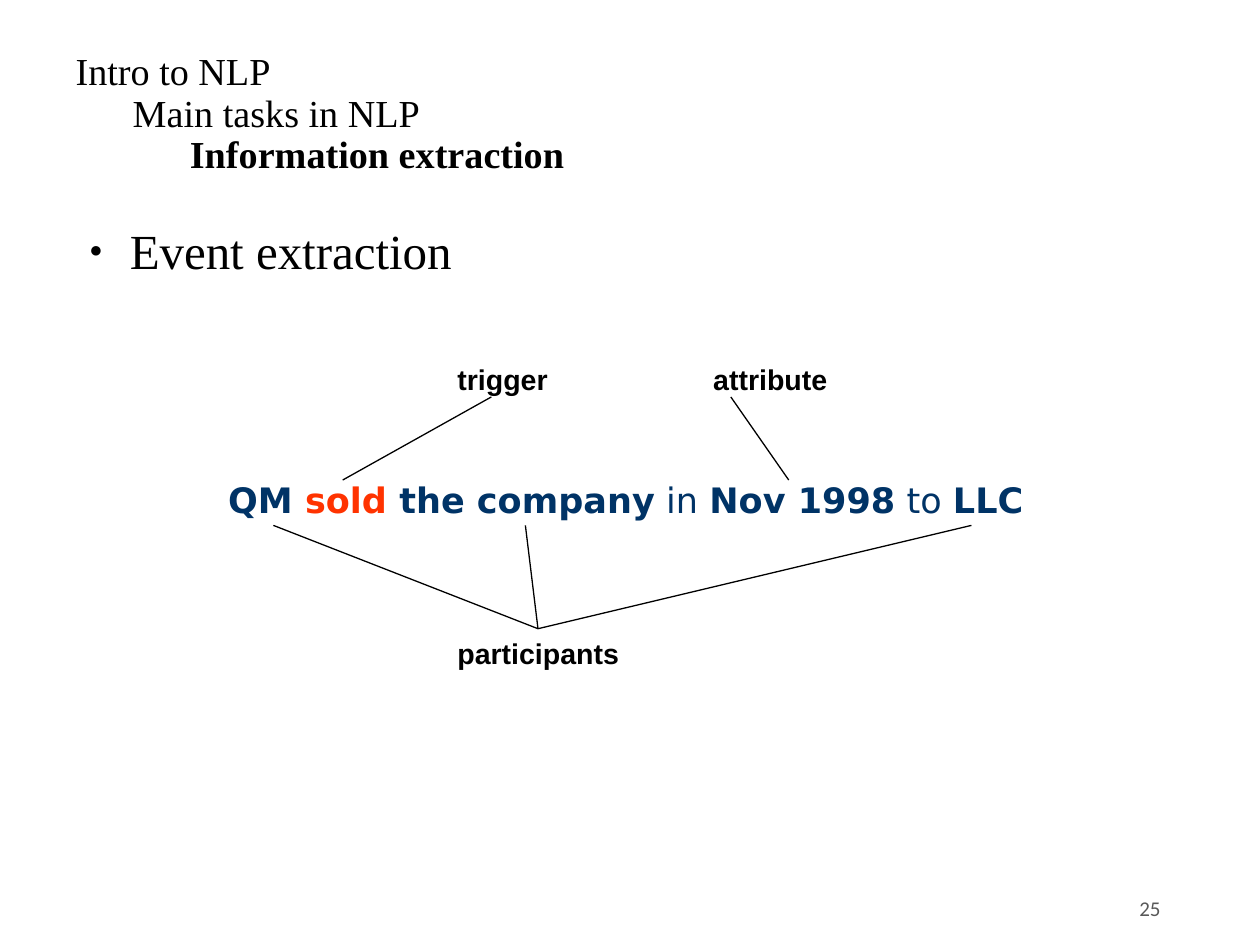
import lxml.etree
import pptx
import pptx.dml.color
import pptx.enum.shapes
import pptx.enum.text
import pptx.oxml
import pptx.oxml.ns
import pptx.util

COLORS = {"black": "000000", "navy": "003366", "red": "FF3300", "gray": "595959"}
WIDTH, HEIGHT = 10, 7.5
TAB_STEP = 0.4535
LABEL_LEFT, LABEL_HEIGHT = 3.54, 0.34
UPPER_ROW, LOWER_ROW = 2.81, 4.99
SENTENCE_TOP, SENTENCE_BOTTOM = 3.81, 4.17

HEADING = {"name": "Times New Roman", "size": 21.8, "color": "black"}
BULLET = {"name": "Times New Roman", "size": 28, "color": "black"}
LABEL = {"name": "Arial", "size": 16.3, "bold": True, "color": "black"}
NUMBER = {"name": "Calibri", "size": 12, "color": "gray"}
PLAIN = {"name": "DejaVu Sans", "size": 20, "bold": False, "color": "navy"}
STRONG = {**PLAIN, "bold": True}
TRIGGER = {**STRONG, "color": "red"}

TITLE = [
    ("Intro to NLP\v\tMain tasks in NLP\v", HEADING),
    ("\t\tInformation extraction", {**HEADING, "bold": True}),
]
SENTENCE = [
    ("QM ", STRONG), ("sold ", TRIGGER), ("the company", STRONG), (" in ", PLAIN),
    ("Nov 1998", STRONG), (" to ", PLAIN), ("LLC", STRONG),
]
LABELS = [
    ("participants", LABEL_LEFT, LOWER_ROW, 1.46),
    ("trigger", LABEL_LEFT, UPPER_ROW, 0.9),
    ("attribute", 5.57, UPPER_ROW, 1.09),
]
PARTICIPANT_WORDS = [2.17, 4.17, 7.71]
UPPER_LINKS = [(3.9, 2.72), (5.8, 6.26)]


def place(box, left, top, width, height):
    for name, value in zip(("left", "top", "width", "height"), (left, top, width, height)):
        setattr(box, name, pptx.util.Inches(value))


def format_frame(box, margins, **settings):
    frame = box.text_frame
    frame.auto_size = pptx.enum.text.MSO_AUTO_SIZE.NONE
    for side, value in zip(("left", "top", "right", "bottom"), margins):
        setattr(frame, f"margin_{side}", pptx.util.Inches(value))
    for name, value in settings.items():
        setattr(frame, name, value)
    return frame.paragraphs[0]


def write(para, spans):
    for text, style in spans:
        for index, line in enumerate(text.split("\v")):
            if index:
                para.add_line_break()
            if not line:
                continue
            span = para.add_run()
            span.text = line
            for name, value in style.items():
                if name == "color":
                    span.font.color.rgb = pptx.dml.color.RGBColor.from_string(COLORS[value])
                else:
                    setattr(span.font, name, pptx.util.Pt(value) if name == "size" else value)


def add_element(parent, tag, **attributes):
    element = lxml.etree.SubElement(parent, pptx.oxml.ns.qn(tag))
    for name, value in attributes.items():
        element.set(name, str(value))
    return element


def add_text(page, spans, area, margins, **settings):
    box = page.shapes.add_textbox(0, 0, 0, 0)
    place(box, *area)
    para = format_frame(box, margins, **settings)
    write(para, spans)
    return box, para


def add_line(page, start, end):
    points = [pptx.util.Inches(value) for value in (*start, *end)]
    line = page.shapes.add_connector(pptx.enum.shapes.MSO_CONNECTOR.STRAIGHT, *points)
    line.line.color.rgb = pptx.dml.color.RGBColor.from_string(COLORS["black"])
    line.line.width = pptx.util.Pt(0.75)
    add_element(line._element.spPr, "a:effectLst")
    return line


def fill_placeholders(page):
    middle = pptx.enum.text.MSO_ANCHOR.MIDDLE
    title, body = page.shapes.title, page.placeholders[1]
    place(title, 0.5, 0.3, 9, 1.25)
    para = format_frame(title, (0.1, 0.02, 0.1, 0.05), vertical_anchor=middle, word_wrap=True)
    para.alignment = pptx.enum.text.PP_ALIGN.LEFT
    para.line_spacing = 0.9
    tabs = add_element(para._p.get_or_add_pPr(), "a:tabLst")
    for step in range(1, 9):
        add_element(tabs, "a:tab", pos=pptx.util.Inches(step * TAB_STEP), algn="l")
    write(para, TITLE)

    place(body, 0.5, 1.75, 9, 4.35)
    para = format_frame(body, (0.1, 0.05, 0.1, 0.05), word_wrap=True)
    para.line_spacing = 0.9
    para.space_before = pptx.util.Pt(0)
    properties = para._p.get_or_add_pPr()
    properties.set("marL", str(pptx.util.Inches(0.43)))
    properties.set("indent", str(pptx.util.Inches(-0.32)))
    add_element(properties, "a:buSzPct", val=45000)
    add_element(properties, "a:buChar", char="●")
    write(para, [("Event extraction", BULLET)])


def main():
    deck = pptx.Presentation()
    deck.slide_width, deck.slide_height = pptx.util.Inches(WIDTH), pptx.util.Inches(HEIGHT)
    page = deck.slides.add_slide(deck.slide_layouts[1])
    fill_placeholders(page)

    number, para = add_text(page, [("25", NUMBER)], (8.06, 7.01, 1.25, 0.4),
                            (0.1, 0.05, 0.1, 0.05), word_wrap=True,
                            vertical_anchor=pptx.enum.text.MSO_ANCHOR.MIDDLE)
    para.alignment = pptx.enum.text.PP_ALIGN.RIGHT

    sentence, para = add_text(page, SENTENCE, (1.72, 3.75, 6.62, 0.76),
                              (0.09, 0.04, 0.09, 0.04), word_wrap=True)
    para.line_spacing = 1.02

    labels = {}
    for text, left, top, width in LABELS:
        labels[text], para = add_text(page, [(text, LABEL)], (left, top, width, LABEL_HEIGHT),
                                      (0.09, 0.06, 0.09, 0.04), word_wrap=False)

    for word in PARTICIPANT_WORDS:
        line = add_line(page, (4.27, LOWER_ROW), (word, SENTENCE_BOTTOM))
        line.begin_connect(labels["participants"], 0)
    for start, end in UPPER_LINKS:
        add_line(page, (start, UPPER_ROW + LABEL_HEIGHT), (end, SENTENCE_TOP))

    deck.save("out.pptx")


if __name__ == "__main__":
    main()
